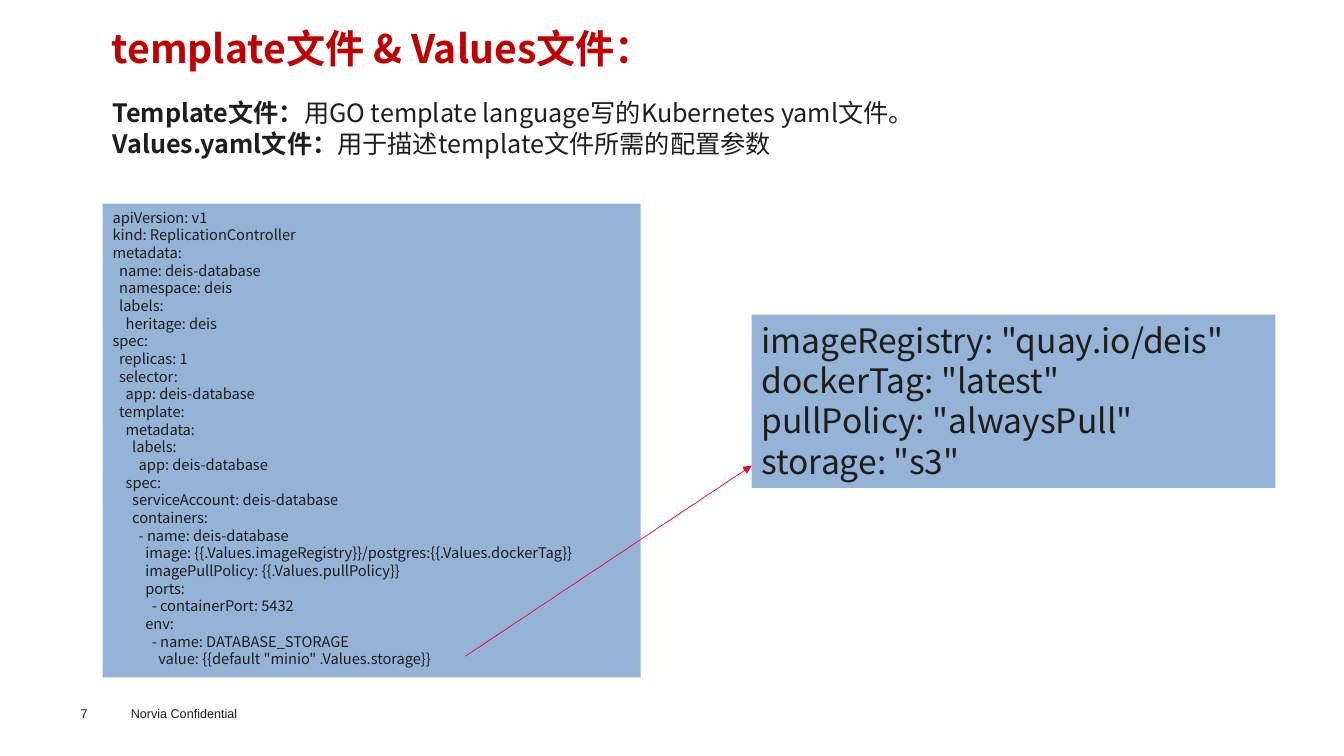
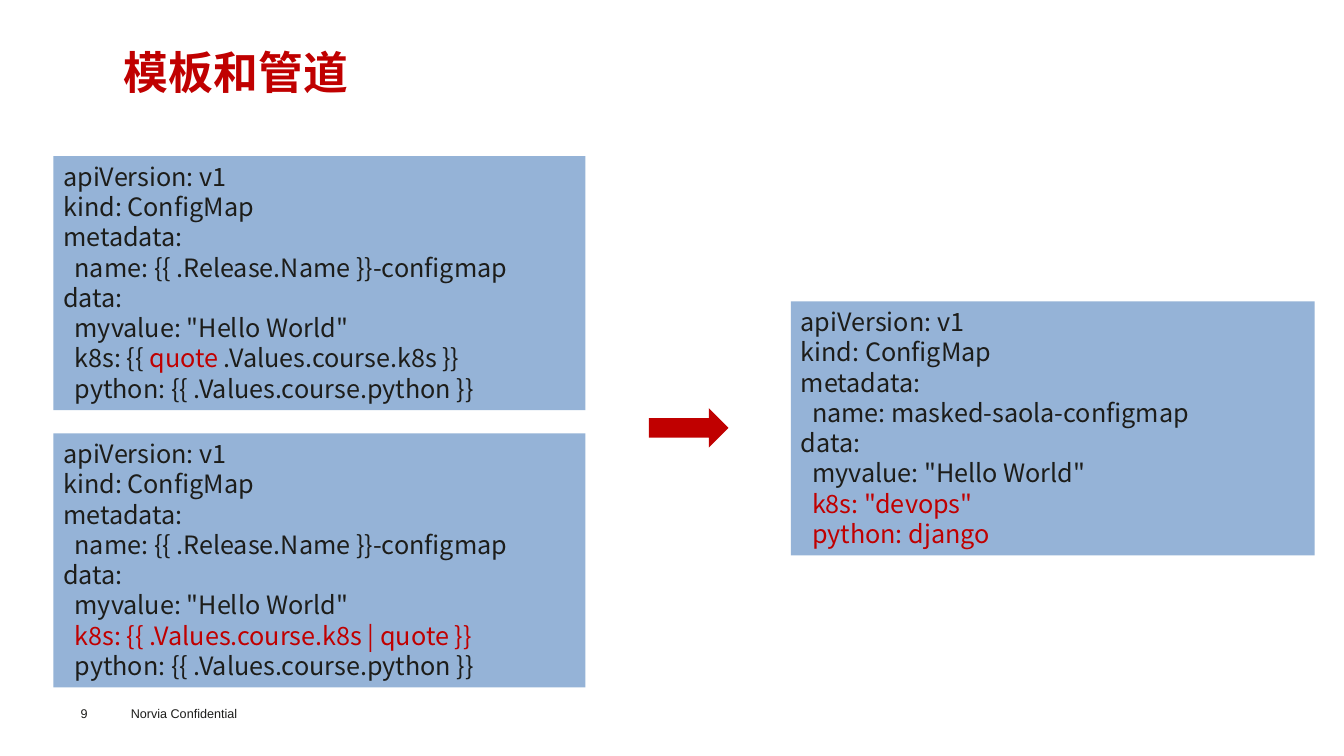
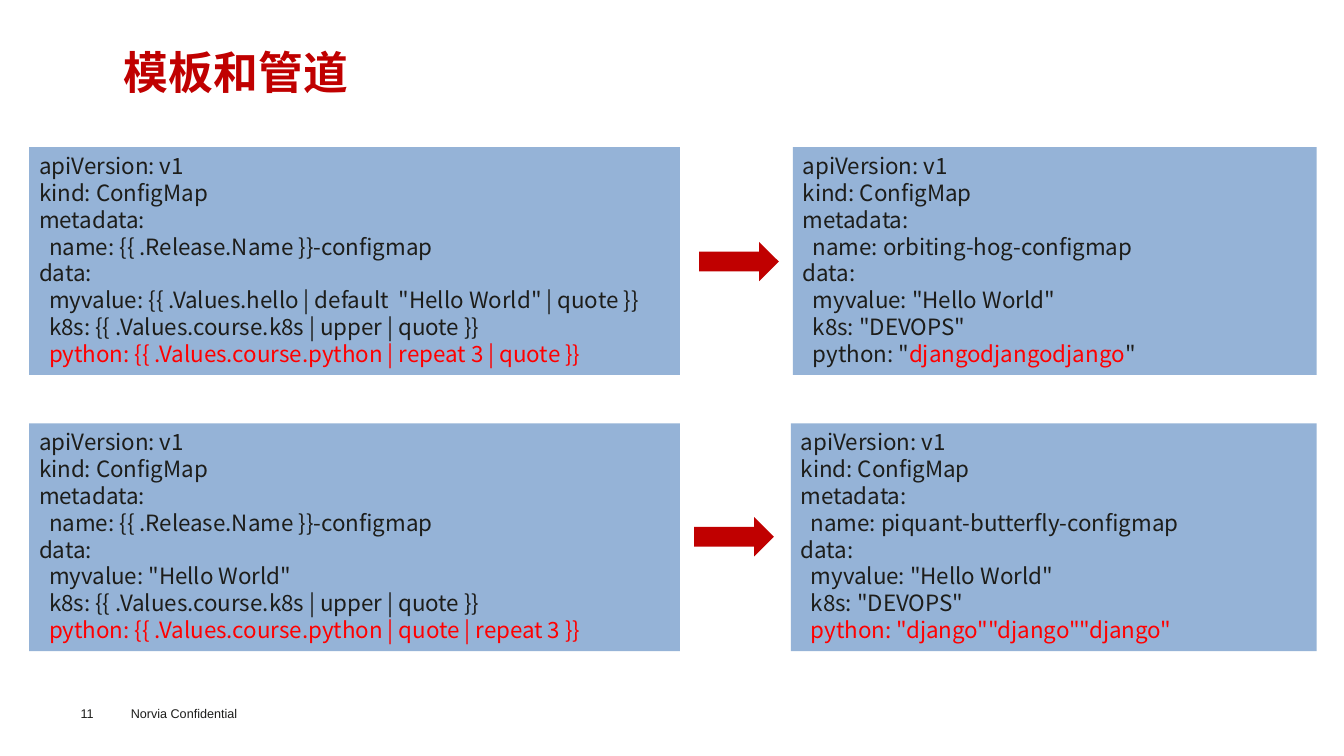
from dataclasses import dataclass
from typing import NamedTuple

import lxml.etree
import pptx
import pptx.dml.color
import pptx.enum.shapes
import pptx.enum.text
import pptx.oxml.ns
import pptx.presentation
import pptx.shapes.base
import pptx.slide
import pptx.util

Inches = pptx.util.Inches
qn = pptx.oxml.ns.qn
Kind = pptx.enum.shapes.MSO_SHAPE


@dataclass(frozen=True)
class Theme:
    sans: str = "Noto Sans CJK SC"
    foot: str = "Arial"
    ink: str = "1D1D1A"
    grey: str = "1D1D1B"
    red: str = "C00000"
    hot: str = "FF0000"
    wire: str = "E9002F"
    panel: str = "95B3D7"
    small: float = 9
    dense: float = 10.5
    code: float = 16
    body: float = 18
    large: float = 24
    head: float = 28
    title: float = 32
    lead: float = 1.2


THEME = Theme()


class Box(NamedTuple):
    x: float
    y: float
    w: float
    h: float


class Panel(NamedTuple):
    box: Box
    text: str
    size: float
    mark: str = THEME.red


class Page(NamedTuple):
    num: int
    panels: list[Panel]
    marks: list[tuple[float, float]]


def rgb(code: str) -> pptx.dml.color.RGBColor:
    return pptx.dml.color.RGBColor.from_string(code)


def span(box: Box) -> tuple[int, ...]:
    return tuple(Inches(side) for side in box)


def write(shape: pptx.shapes.base.BaseShape, text: str, *, size: float,
          color: str = THEME.ink, font: str = THEME.sans, bold: bool = False,
          mark: str = THEME.red, strong: bool = False, lead: float | None = THEME.lead,
          inset: bool = True, wrap: bool = True) -> None:
    frame = shape.text_frame
    frame.word_wrap = wrap
    frame.auto_size = pptx.enum.text.MSO_AUTO_SIZE.NONE
    frame.vertical_anchor = pptx.enum.text.MSO_ANCHOR.TOP
    if not inset:
        frame.margin_left = frame.margin_right = 0
        frame.margin_top = frame.margin_bottom = 0
    for row, line in enumerate(text.split("\n")):
        para = frame.add_paragraph() if row else frame.paragraphs[0]
        para.alignment = pptx.enum.text.PP_ALIGN.LEFT
        if lead:
            para.line_spacing = pptx.util.Pt(round(size * lead, 2))
        for part, words in enumerate(line.split("§")):
            if not words:
                continue
            marked = part % 2 == 1
            run = para.add_run()
            run.text = words
            run.font.name = font
            run.font.size = pptx.util.Pt(size)
            run.font.bold = bold or (marked and strong)
            run.font.color.rgb = rgb(mark if marked else color)
    for latin in shape.element.iter(qn("a:latin")):
        east = lxml.etree.Element(qn("a:ea"), typeface=font)
        latin.addnext(east)


def label(slide: pptx.slide.Slide, box: Box, text: str, **style) -> None:
    write(slide.shapes.add_textbox(*span(box)), text, **style)


def block(slide: pptx.slide.Slide, kind: Kind, box: Box,
          color: str) -> pptx.shapes.base.BaseShape:
    shape = slide.shapes.add_shape(kind, *span(box))
    shape.shadow.inherit = False
    shape.fill.solid()
    shape.fill.fore_color.rgb = rgb(color)
    shape.line.fill.background()
    return shape


def sheet(slide: pptx.slide.Slide, panel: Panel) -> None:
    shape = block(slide, Kind.RECTANGLE, panel.box, THEME.panel)
    write(shape, panel.text, size=panel.size, mark=panel.mark)


def arrow(slide: pptx.slide.Slide, x: float, y: float) -> None:
    block(slide, Kind.RIGHT_ARROW, Box(x, y, 0.79, 0.39), THEME.red)


def link(slide: pptx.slide.Slide, start: tuple[float, float],
         end: tuple[float, float]) -> None:
    ends = [Inches(side) for side in start + end]
    wire = slide.shapes.add_connector(pptx.enum.shapes.MSO_CONNECTOR.STRAIGHT, *ends)
    wire.line.color.rgb = rgb(THEME.wire)
    wire.line.width = pptx.util.Pt(0.5)
    props = wire.element.spPr
    lxml.etree.SubElement(props.find(qn("a:ln")), qn("a:tailEnd"), type="triangle")
    lxml.etree.SubElement(props, qn("a:effectLst"))


def start(deck: pptx.presentation.Presentation, num: int) -> pptx.slide.Slide:
    slide = deck.slides.add_slide(deck.slide_layouts[6])
    foot = dict(size=THEME.small, color=THEME.grey, font=THEME.foot, lead=None)
    label(slide, Box(1.2, 6.95, 1.6, 0.25), "Norvia Confidential", **foot)
    label(slide, Box(0.8, 7, 0.55, 0.15), str(num), inset=False, **foot)
    return slide


def config(name: str, *data: str) -> str:
    rows = ["apiVersion: v1", "kind: ConfigMap", "metadata:",
            f"  name: {name}-configmap", "data:"]
    return "\n".join(rows + [f"  {item}" for item in data])


CHART = """apiVersion: v1
kind: ReplicationController
metadata:
  name: deis-database
  namespace: deis
  labels:
    heritage: deis
spec:
  replicas: 1
  selector:
    app: deis-database
  template:
    metadata:
      labels:
        app: deis-database
    spec:
      serviceAccount: deis-database
      containers:
        - name: deis-database
          image: {{.Values.imageRegistry}}/postgres:{{.Values.dockerTag}}
          imagePullPolicy: {{.Values.pullPolicy}}
          ports:
            - containerPort: 5432
          env:
            - name: DATABASE_STORAGE
              value: {{default "minio" .Values.storage}}"""

VALUES = """imageRegistry: "quay.io/deis"
dockerTag: "latest"
pullPolicy: "alwaysPull"
storage: "s3\""""

INTRO = """§Template文件：§用GO template language写的Kubernetes yaml文件。
§Values.yaml文件：§用于描述template文件所需的配置参数"""

NAME = "{{ .Release.Name }}"
HELLO = 'myvalue: "Hello World"'
PLAIN = "python: {{ .Values.course.python }}"
UPPER = "k8s: {{ .Values.course.k8s | upper | quote }}"
LOUD = 'k8s: "DEVOPS"'

PAGES = [
    Page(9, [
        Panel(Box(0.53, 1.55, 5.28, 2.52),
              config(NAME, HELLO, "k8s: {{ §quote§ .Values.course.k8s }}", PLAIN),
              THEME.body),
        Panel(Box(7.85, 2.99, 5.2, 2.52),
              config("masked-saola", HELLO, '§k8s: "devops"§', "§python: django§"),
              THEME.body),
        Panel(Box(0.53, 4.3, 5.28, 2.52),
              config(NAME, HELLO, "§k8s: {{ .Values.course.k8s | quote }}§", PLAIN),
              THEME.body),
    ], [(6.44, 4.05)]),
    Page(11, [
        Panel(Box(0.29, 1.46, 6.46, 2.26),
              config(NAME, 'myvalue: {{ .Values.hello | default  "Hello World" | quote }}',
                     UPPER, "§python: {{ .Values.course.python | repeat 3 | quote }}§"),
              THEME.code, THEME.hot),
        Panel(Box(7.87, 1.46, 5.2, 2.26),
              config("orbiting-hog", HELLO, LOUD, 'python: "§djangodjangodjango§"'),
              THEME.code, THEME.hot),
        Panel(Box(0.29, 4.2, 6.46, 2.26),
              config(NAME, HELLO, UPPER,
                     "§python: {{ .Values.course.python | quote | repeat 3 }}§"),
              THEME.code, THEME.hot),
        Panel(Box(7.85, 4.2, 5.22, 2.26),
              config("piquant-butterfly", HELLO, LOUD,
                     '§python: "django""django""django"§'),
              THEME.code, THEME.hot),
    ], [(6.94, 2.4), (6.89, 5.13)]),
]


def files(deck: pptx.presentation.Presentation) -> None:
    slide = start(deck, 7)
    label(slide, Box(1.01, 0.24, 5.83, 0.52), "template文件 & Values文件：",
          size=THEME.head, color=THEME.red, bold=True, lead=1.08, wrap=False)
    label(slide, Box(1.02, 0.92, 10.87, 0.71), INTRO,
          size=THEME.body, mark=THEME.ink, strong=True)
    sheet(slide, Panel(Box(1.02, 2.02, 5.34, 4.7), CHART, THEME.dense))
    sheet(slide, Panel(Box(7.46, 3.12, 5.2, 1.72), VALUES, THEME.large))
    link(slide, (4.62, 6.51), (7.46, 4.62))


def pipes(deck: pptx.presentation.Presentation, page: Page) -> None:
    slide = start(deck, page.num)
    label(slide, Box(1.23, 0.44, 2.24, 0.54), "模板和管道", size=THEME.title,
          color=THEME.red, bold=True, inset=False, wrap=False)
    for panel in page.panels:
        sheet(slide, panel)
    for x, y in page.marks:
        arrow(slide, x, y)


def main() -> None:
    deck = pptx.Presentation()
    deck.slide_width = Inches(13.34)
    deck.slide_height = Inches(7.5)
    files(deck)
    for page in PAGES:
        pipes(deck, page)
    deck.save("out.pptx")


if __name__ == "__main__":
    main()
